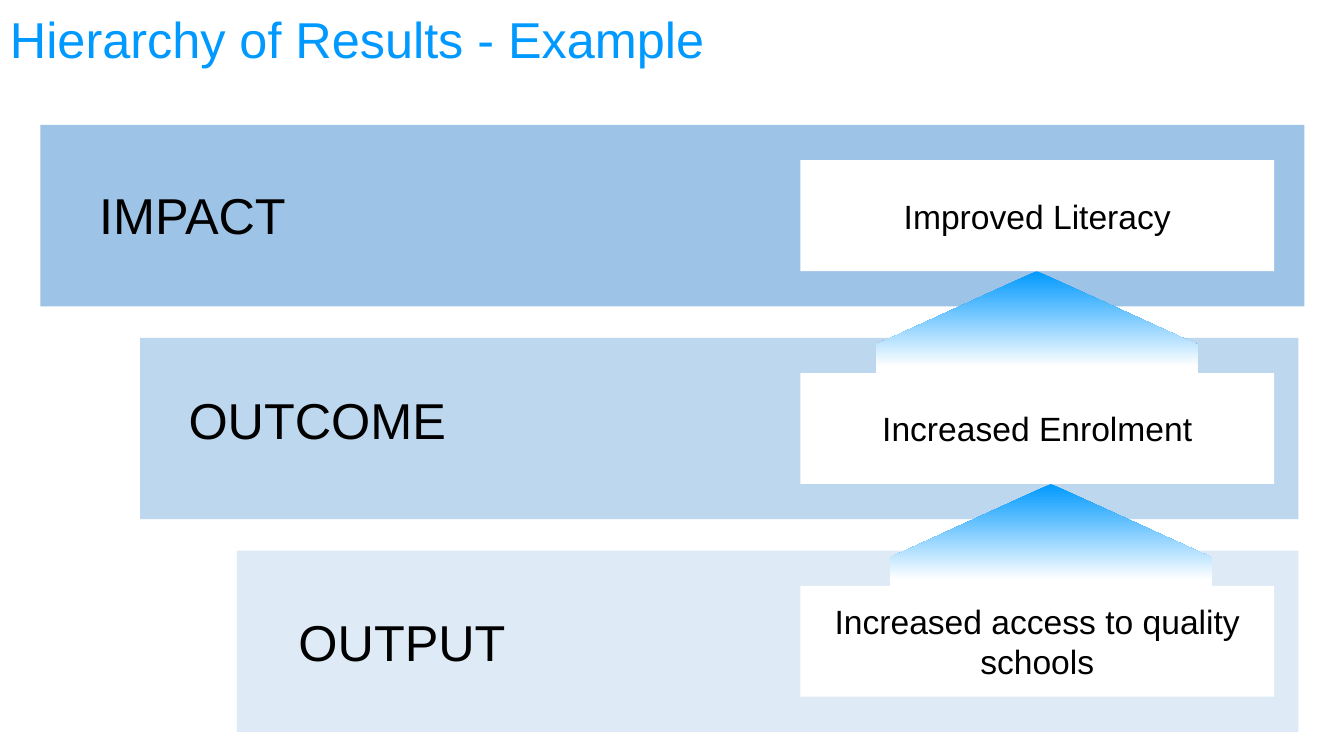
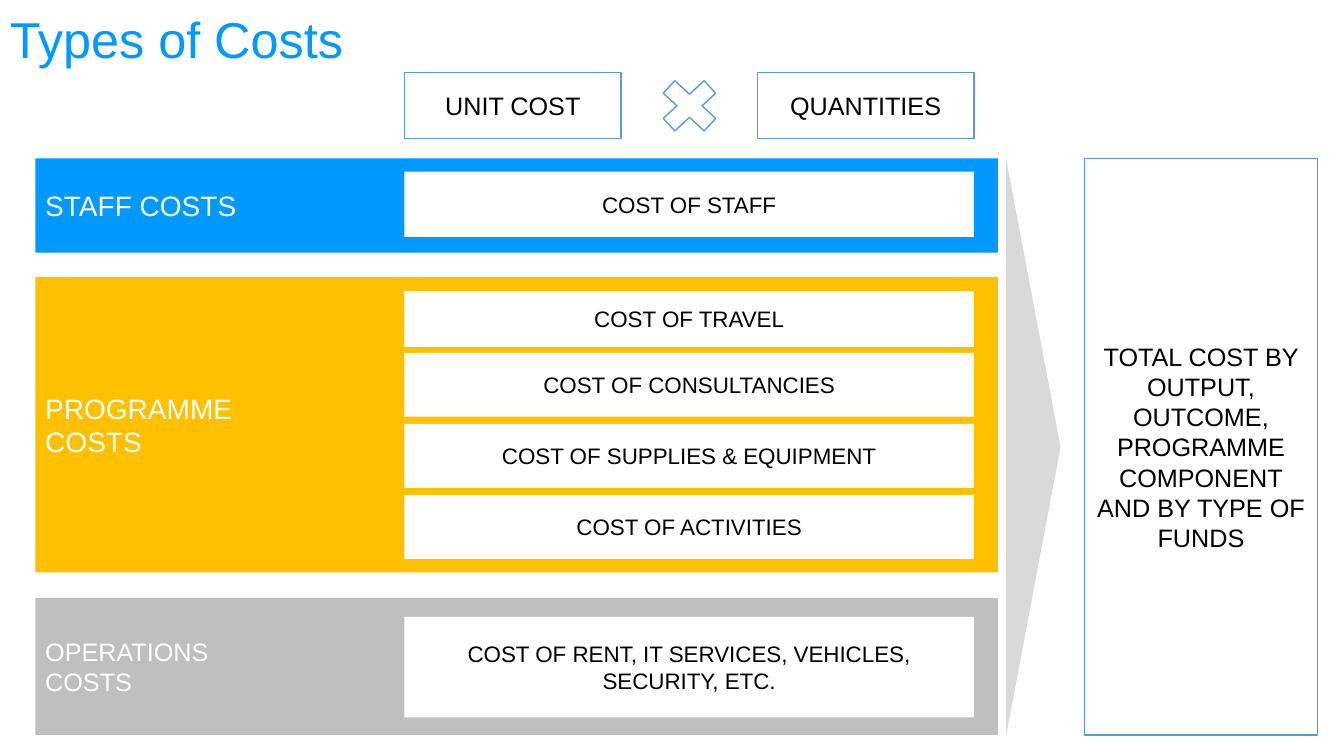
from dataclasses import dataclass
from typing import NamedTuple

from pptx import Presentation
from pptx.dml.color import RGBColor
from pptx.enum import shapes, text
from pptx.util import Pt

FONT = "Arial"
BLUE, AMBER, GREY, PALE_GREY = "0099FF", "FFC000", "BFBFBF", "D9D9D9"
WHITE, BLACK, OUTLINE = "FFFFFF", "000000", "5B9BD5"
SLIDE_W, SLIDE_H = 960, 540
SHAPE = shapes.MSO_SHAPE
CENTER, LEFT = text.PP_ALIGN.CENTER, text.PP_ALIGN.LEFT


class Box(NamedTuple):
    """Left, top, width and height in points."""
    x: float
    y: float
    w: float
    h: float

    def lengths(self) -> list:
        return [Pt(v) for v in self]


@dataclass
class Level:
    label: str
    result: str
    color: str
    left: float
    right: float
    label_box: Box


@dataclass
class Cost:
    label: str
    top: float
    height: float


@dataclass
class CostGroup:
    lines: list[str]
    color: str
    size: float
    top: float
    height: float
    costs: list[Cost]


def rgb(color: str) -> RGBColor:
    return RGBColor.from_string(color)


def put_text(sp, lines: list[str], size: float, color: str = BLACK, align=CENTER,
             anchor=text.MSO_ANCHOR.MIDDLE, spacing: float | None = None) -> None:
    """Write one paragraph per line into a shape or text box."""
    tf = sp.text_frame
    tf.word_wrap = True
    tf.vertical_anchor = anchor
    for i, line in enumerate(lines):
        p = tf.add_paragraph() if i else tf.paragraphs[0]
        p.alignment = align
        if spacing:
            p.line_spacing = spacing
        r = p.add_run()
        r.text = line
        r.font.name, r.font.size = FONT, Pt(size)
        r.font.color.rgb = rgb(color)


def add_shape(s, kind, box: Box, fill: str = WHITE, line: str | None = None):
    sp = s.shapes.add_shape(kind, *box.lengths())
    sp.shadow.inherit = False
    sp.fill.solid()
    sp.fill.fore_color.rgb = rgb(fill)
    if line:
        sp.line.color.rgb = rgb(line)
        sp.line.width = Pt(1)
    else:
        sp.line.fill.background()
    return sp


def add_box(s, box: Box, lines: list[str], size: float, line: str | None = None) -> None:
    """Draw a white rectangle with centred black text."""
    put_text(add_shape(s, SHAPE.RECTANGLE, box, line=line), lines, size)


def add_slide(prs, title: str):
    s = prs.slides.add_slide(prs.slide_layouts[6])
    sp = s.shapes.add_textbox(*Box(0, 0, SLIDE_W, 60.5).lengths())
    put_text(sp, [title], 36, BLUE, LEFT, spacing=0.9)
    return s


def add_up_arrow(s, box: Box) -> None:
    """Draw a full-width up arrow that fades from blue to white."""
    sp = add_shape(s, SHAPE.UP_ARROW, box)
    sp.adjustments[0], sp.adjustments[1] = 1, 0.5
    sp.fill.gradient()
    sp.fill.gradient_angle = 270
    for stop, color, position in zip(sp.fill.gradient_stops, (BLUE, WHITE), (0, 0.65)):
        stop.color.rgb = rgb(color)
        stop.position = position


LEVELS = [
    Level("IMPACT", "Improved Literacy", "9DC3E6", 28.8, 931.7, Box(59, 128.2, 157, 51)),
    Level("OUTCOME", "Increased Enrolment", "BDD7EE", 100, 927.4, Box(120.2, 274.5, 213, 51)),
    Level("OUTPUT", "Increased access to quality schools", "DEEBF7", 169.2, 927.4,
          Box(180.7, 432.7, 213, 51)),
]
ARROW_LEFTS = (625.7, 635.8)


def build_hierarchy(prs) -> None:
    band_top, band_h, pitch = 89.3, 129.6, 152
    result_x, result_w, result_h = 571.7, 338.4, 79.2
    result_top = band_top + (band_h - result_h) / 2
    s = add_slide(prs, "Hierarchy of Results - Example")
    for i, level in enumerate(LEVELS):
        band = Box(level.left, band_top + i * pitch, level.right - level.left, band_h)
        add_shape(s, SHAPE.RECTANGLE, band, level.color)
        label = s.shapes.add_textbox(*level.label_box.lengths())
        put_text(label, [level.label], 36, anchor=text.MSO_ANCHOR.TOP)
    for i, left in enumerate(ARROW_LEFTS):
        add_up_arrow(s, Box(left, result_top + i * pitch + result_h, 229.7, 105))
    for i, level in enumerate(LEVELS):
        add_box(s, Box(result_x, result_top + i * pitch, result_w, result_h), [level.result], 24)


COST_GROUPS = [
    CostGroup(["STAFF COSTS"], BLUE, 20, 113.2, 67.2, [Cost("COST OF STAFF", 122.5, 46.8)]),
    CostGroup(["PROGRAMME", "COSTS"], AMBER, 20, 198, 210.8, [
        Cost("COST OF TRAVEL", 208, 39.8),
        Cost("COST OF CONSULTANCIES", 252, 45.7),
        Cost("COST OF SUPPLIES & EQUIPMENT", 302.8, 45.7),
        Cost("COST OF ACTIVITIES", 353.6, 45.7),
    ]),
    CostGroup(["OPERATIONS", "COSTS"], GREY, 18, 427, 98, [
        Cost("COST OF RENT, IT SERVICES, VEHICLES, SECURITY, ETC.", 440.7, 71.7),
    ]),
]


def build_costs(prs) -> None:
    cost_x, cost_w = 288.9, 406.8
    factor_y, factor_w, factor_h = 52, 154.8, 46.8
    total_top, total_h = 113.2, 411.8
    s = add_slide(prs, "Types of Costs")
    for left, label in ((cost_x, "UNIT COST"), (cost_x + cost_w - factor_w, "QUANTITIES")):
        add_box(s, Box(left, factor_y, factor_w, factor_h), [label], 18, OUTLINE)
    add_shape(s, SHAPE.MATH_MULTIPLY, Box(464.4, 49.7, 56.2, 51.8), WHITE, OUTLINE)
    for group in COST_GROUPS:
        band = add_shape(s, SHAPE.RECTANGLE, Box(25.2, group.top, 687.6, group.height), group.color)
        put_text(band, group.lines, group.size, WHITE, LEFT)
        for cost in group.costs:
            add_box(s, Box(cost_x, cost.top, cost_w, cost.height), [cost.label], 16)
    pointer = add_shape(s, SHAPE.ISOSCELES_TRIANGLE, Box(532.2, 300, total_h, 38.9), PALE_GREY)
    pointer.rotation = 90
    add_box(s, Box(774.7, total_top, 166.3, total_h),
            ["TOTAL COST BY OUTPUT, OUTCOME, PROGRAMME COMPONENT", "AND BY TYPE OF FUNDS"],
            18, OUTLINE)


def main() -> None:
    prs = Presentation()
    prs.slide_width, prs.slide_height = Pt(SLIDE_W), Pt(SLIDE_H)
    build_hierarchy(prs)
    build_costs(prs)
    prs.save("out.pptx")


if __name__ == "__main__":
    main()
